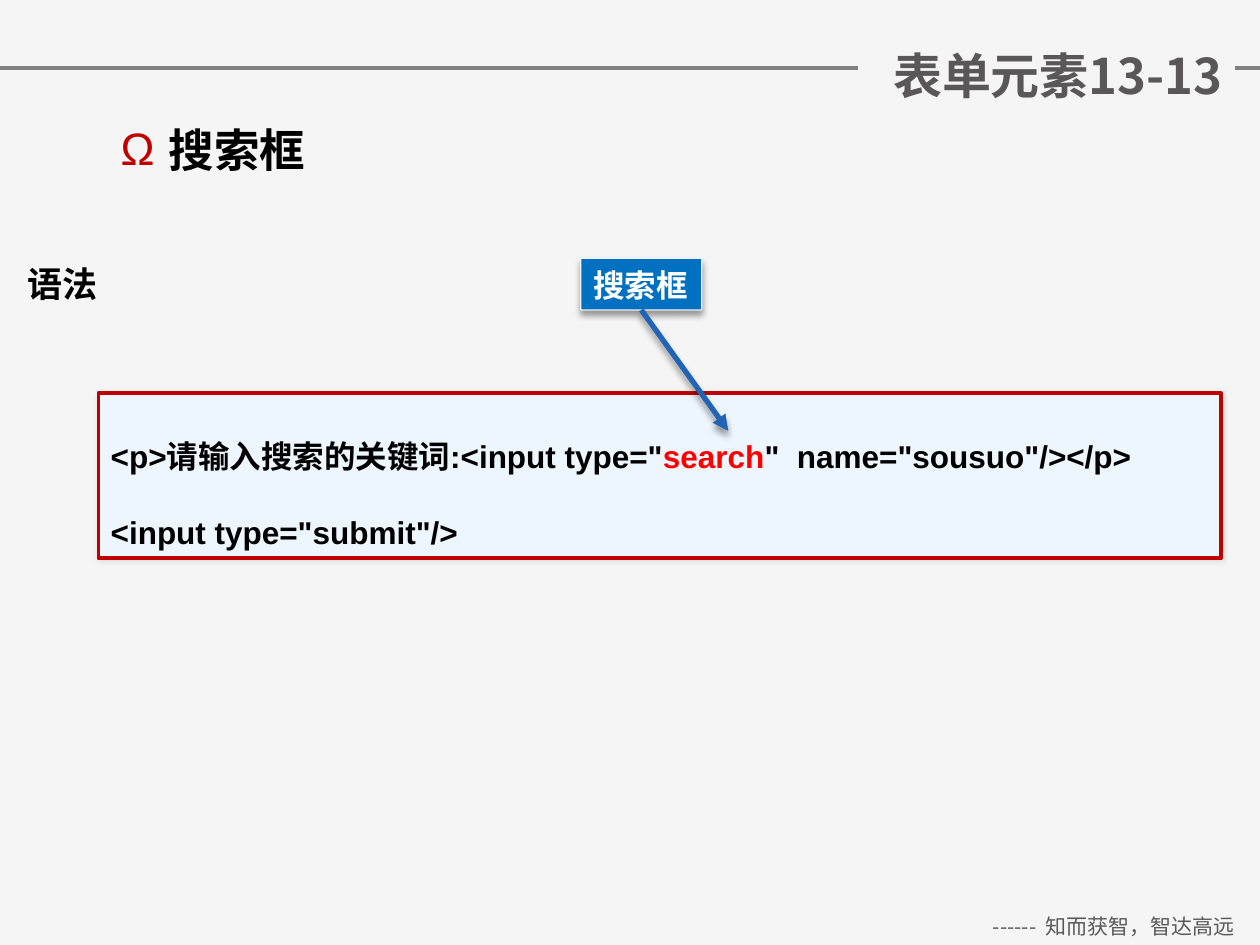
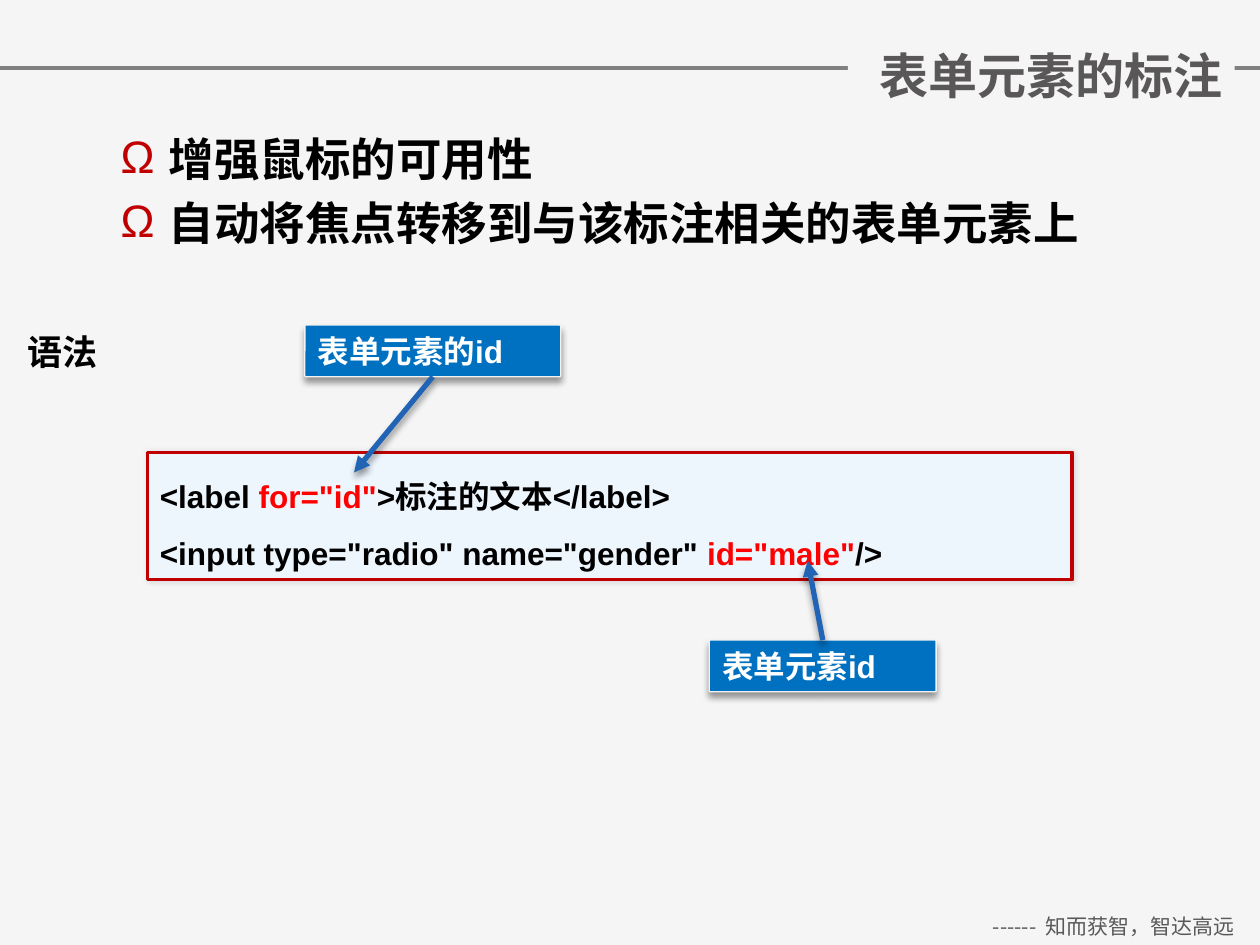
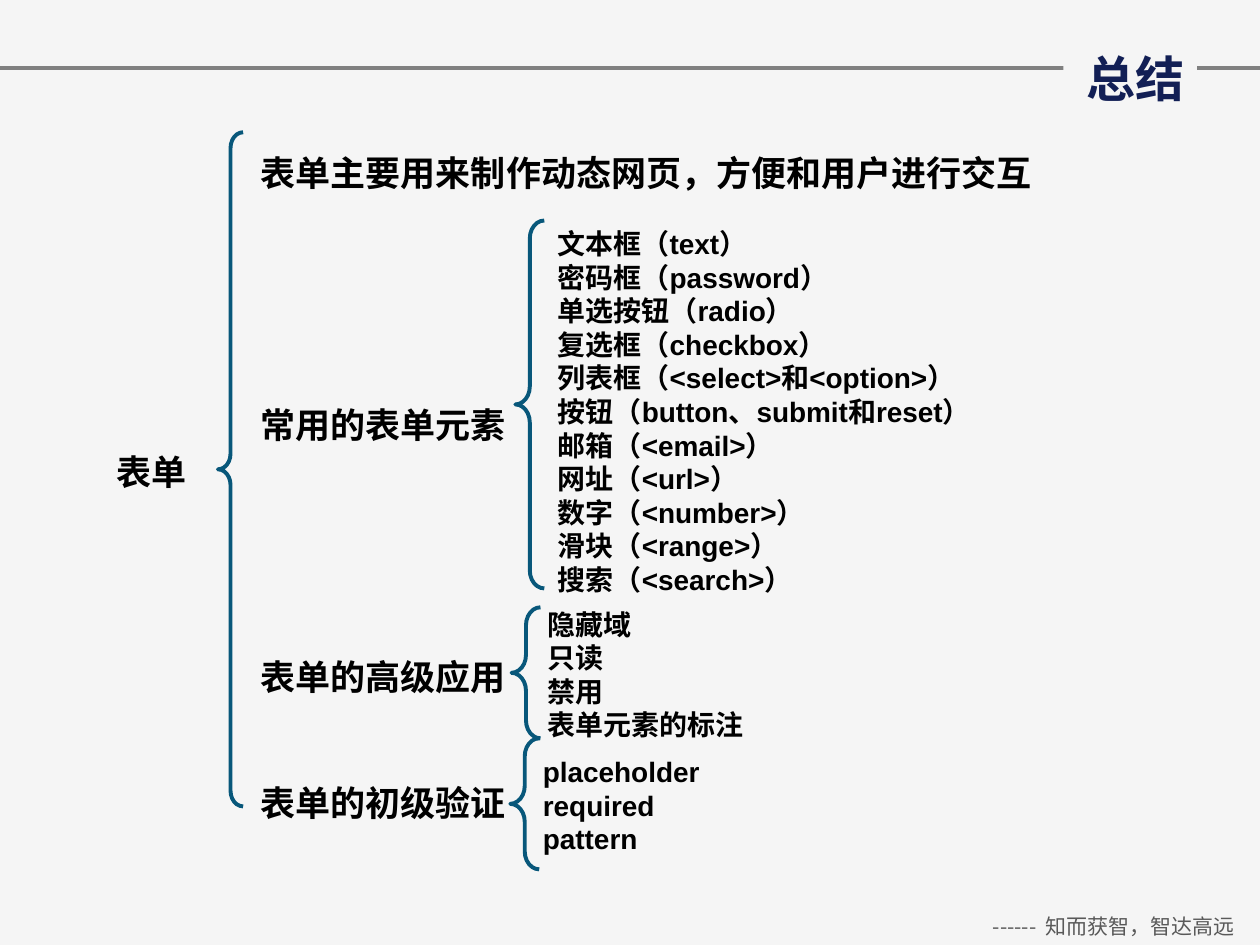
"""Build three slides on HTML form elements: search box, labels and summary."""
from dataclasses import dataclass

from pptx import Presentation, util as u
from pptx.dml import color
from pptx.enum import shapes, text
from pptx.oxml import parse_xml
from pptx.oxml.ns import nsdecls, qn


@dataclass(frozen=True)
class Theme:
    sans: str = "Noto Sans CJK SC"
    code: str = "Arial"
    back: str = "F5F5F5"
    rule: str = "808080"
    foot: str = "595959"
    head: str = "595758"
    navy: str = "121F55"
    ink: str = "000000"
    red: str = "FF0000"
    dark: str = "C00000"
    pale: str = "EDF5FD"
    blue: str = "0070C0"
    edge: str = "F2F2F2"
    arrow: str = "2163B4"
    brace: str = "08577A"
    white: str = "FFFFFF"
    title: int = 28
    point: int = 26
    group: int = 20
    body: int = 18
    item: int = 16
    small: int = 12


T = Theme()
RGB = color.RGBColor.from_string
ALIGN, ANCHOR = text.PP_ALIGN, text.MSO_ANCHOR


def glow(alpha, blur, dist, turn):
    """Return an effect list with one black outer shadow."""
    return parse_xml(
        f'<a:effectLst {nsdecls("a")}><a:outerShdw blurRad="{u.Pt(blur)}" dist="{u.Pt(dist)}" '
        f'dir="{turn * 60000}" algn="ctr" rotWithShape="0"><a:srgbClr val="000000">'
        f'<a:alpha val="{alpha * 1000}"/></a:srgbClr></a:outerShdw></a:effectLst>')


def write(slide, at, lines, size, ink, font=T.code, bold=True, align=ALIGN.LEFT,
          anchor=ANCHOR.TOP, fill=None, line=None, round=0, shade=None):
    """Add a text block; every second part between bars is red."""
    spot = [u.Inches(n) for n in at]
    if line:
        box = slide.shapes.add_shape(shapes.MSO_SHAPE.ROUNDED_RECTANGLE, *spot)
        box.adjustments[0] = round
        box.line.color.rgb, box.line.width = RGB(line[0]), u.Pt(line[1])
        box._element.spPr.append(glow(*shade))
    else:
        box = slide.shapes.add_textbox(*spot)
    if fill:
        box.fill.solid()
        box.fill.fore_color.rgb = RGB(fill)
    frame = box.text_frame
    frame.word_wrap, frame.vertical_anchor = True, anchor
    if align == ALIGN.LEFT:
        frame.margin_right = 0
    frame.text = "\n".join(lines)
    for para in frame.paragraphs:
        parts = para.text.split("|")
        para.text, para.alignment = parts[0], align
        for part in parts[1:]:
            para.add_run().text = part
        for i, run in enumerate(para.runs):
            face = run.font
            face.size, face.bold, face.name = u.Pt(size), bold, font
            face.color.rgb = RGB(T.red if i % 2 else ink)
            east = parse_xml(f'<a:ea {nsdecls("a")} typeface="{T.sans}"/>')
            run._r.get_or_add_rPr().append(east)
    return box


deck = Presentation()
deck.slide_width, deck.slide_height = u.Inches(10), u.Inches(7.5)
back = deck.slide_master.background.fill
back.solid()
back.fore_color.rgb = RGB(T.back)

heads = [
    ("表单元素13-13", (6.81, 0.31, 2.99, 0.57), T.head),
    ("表单元素的标注", (6.73, 0.31, 3.07, 0.57), T.head),
    ("总结", (8.44, 0.3, 1.06, 0.64), T.navy),
]
for head, at, ink in heads:
    slide = deck.slides.add_slide(deck.slide_layouts[6])
    rule = slide.shapes.add_connector(shapes.MSO_CONNECTOR.STRAIGHT, 0, u.Inches(0.54),
                                      deck.slide_width, u.Inches(0.54))
    rule.line.color.rgb, rule.line.width = RGB(T.rule), u.Pt(2)
    rule._element.spPr.append(parse_xml(f'<a:effectLst {nsdecls("a")}/>'))
    write(slide, (7.68, 7.2, 2.32, 0.3), ["------  知而获智，智达高远"], T.small, T.foot,
          T.sans, False, ALIGN.CENTER)
    write(slide, at, [head], T.title, ink, T.sans, align=ALIGN.RIGHT,
          anchor=ANCHOR.MIDDLE, fill=T.back)
find, label, total = deck.slides

# (slide, points, top of points, top of heading, code place, spacing, code, callouts)
pages = [
    (find, ["搜索框"], 0.92, 2.03, (0.78, 3.12, 8.91, 1.31), 2.0,
     ['<p>请输入搜索的关键词:<input type="|search|"  name="sousuo"/></p>',
      '<input type="submit"/>'],
     [("搜索框", (4.61, 2.05, 0.96, 0.41), 2, (5.78, 3.42))]),
    (label, ["增强鼠标的可用性", "自动将焦点转移到与该标注相关的表单元素上"], 0.99, 2.57,
     (1.17, 3.59, 7.34, 1.01), 1.5,
     ['<label |for="id"|>标注的文本</label>',
      '<input type="radio" name="gender" |id="male"|/>'],
     [("表单元素的id", (2.42, 2.58, 2.03, 0.41), 2, (2.81, 3.75)),
      ("表单元素id", (5.63, 5.08, 1.8, 0.41), 0, (6.41, 4.45))]),
]
for slide, points, top, low, at, gap, code, calls in pages:
    box = write(slide, (0.86, top, 8.36, 5.63), points, T.point, T.ink, T.sans)
    for para in box.text_frame.paragraphs:
        para.space_before = u.Pt(T.point * 0.2)
        props = para._p.get_or_add_pPr()
        props.set("marL", str(u.Inches(0.38)))
        props.set("indent", str(u.Inches(-0.38)))
        props.append(parse_xml(f'<a:buClr {nsdecls("a")}><a:srgbClr val="{T.dark}"/></a:buClr>'))
        props.append(parse_xml(f'<a:buFont {nsdecls("a")} typeface="{T.code}"/>'))
        props.append(parse_xml(f'<a:buChar {nsdecls("a")} char="Ω"/>'))
    box = write(slide, (0.12, low, 0.77, 0.44), ["语法"], T.group, T.ink, T.sans,
                anchor=ANCHOR.MIDDLE)
    props = box.text_frame.paragraphs[0].runs[0]._r.rPr
    props.find(qn("a:solidFill")).addnext(glow(40, 3, 3, 90))
    box = write(slide, at, code, T.body, T.ink, fill=T.pale, line=(T.dark, 2),
                shade=(10, 3, 0, 0))
    for para in box.text_frame.paragraphs:
        para.line_spacing = gap
    for name, at, side, (x, y) in calls:
        box = write(slide, at, [name], T.body, T.white, anchor=ANCHOR.BOTTOM, fill=T.blue,
                    line=(T.edge, 0.75), round=0.02, shade=(40, 4, 3, 90))
        arrow = slide.shapes.add_connector(shapes.MSO_CONNECTOR.STRAIGHT, 0, 0,
                                           u.Inches(x), u.Inches(y))
        arrow.begin_connect(box, side)
        arrow.line.color.rgb, arrow.line.width = RGB(T.arrow), u.Pt(3)
        arrow.line._get_or_add_ln().append(
            parse_xml(f'<a:tailEnd {nsdecls("a")} type="triangle"/>'))
        arrow._element.spPr.append(glow(40, 4, 3, 90))

groups = ["表单主要用来制作动态网页，方便和用户进行交互", "|常用的表单元素",
          "表单的高级应用", "表单的初级验证"]
box = write(total, (1.97, 1.15, 7.22, 5.49), groups, T.group, T.ink)
for para, skip in zip(box.text_frame.paragraphs, (0, 5, 5, 2)):
    para.space_before = u.Pt(skip * T.group * 1.2)
write(total, (0.43, 3.53, 1.54, 0.44), ["表单"], T.group, T.ink, align=ALIGN.CENTER)

lists = [
    ((4.33, 1.75, 4.12, 3.33),
     ["文本框（text）", "密码框（password）", "单选按钮（radio）", "复选框（checkbox）",
      "列表框（<select>和<option>）", "按钮（button、submit和reset）", "邮箱（<email>）",
      "网址（<url>）", "数字（<number>）", "滑块（<range>）", "搜索（<search>）"]),
    ((4.25, 4.77, 4.12, 1.18), ["隐藏域", "只读", "禁用", "表单元素的标注"]),
    ((4.21, 5.94, 4.12, 0.91), ["placeholder", "required", "pattern"]),
]
for at, items in lists:
    write(total, at, items, T.item, T.ink)

for at in [(1.73, 1.05, 0.2, 5.35), (4.09, 1.75, 0.23, 2.92),
           (4.06, 4.82, 0.23, 1.04), (4.05, 5.86, 0.23, 1.04)]:
    brace = total.shapes.add_shape(shapes.MSO_SHAPE.LEFT_BRACE, *[u.Inches(n) for n in at])
    brace.adjustments[0] = 0.62
    brace.shadow.inherit = False
    brace.fill.background()
    brace.line.color.rgb, brace.line.width = RGB(T.brace), u.Pt(2.25)

deck.save("out.pptx")
